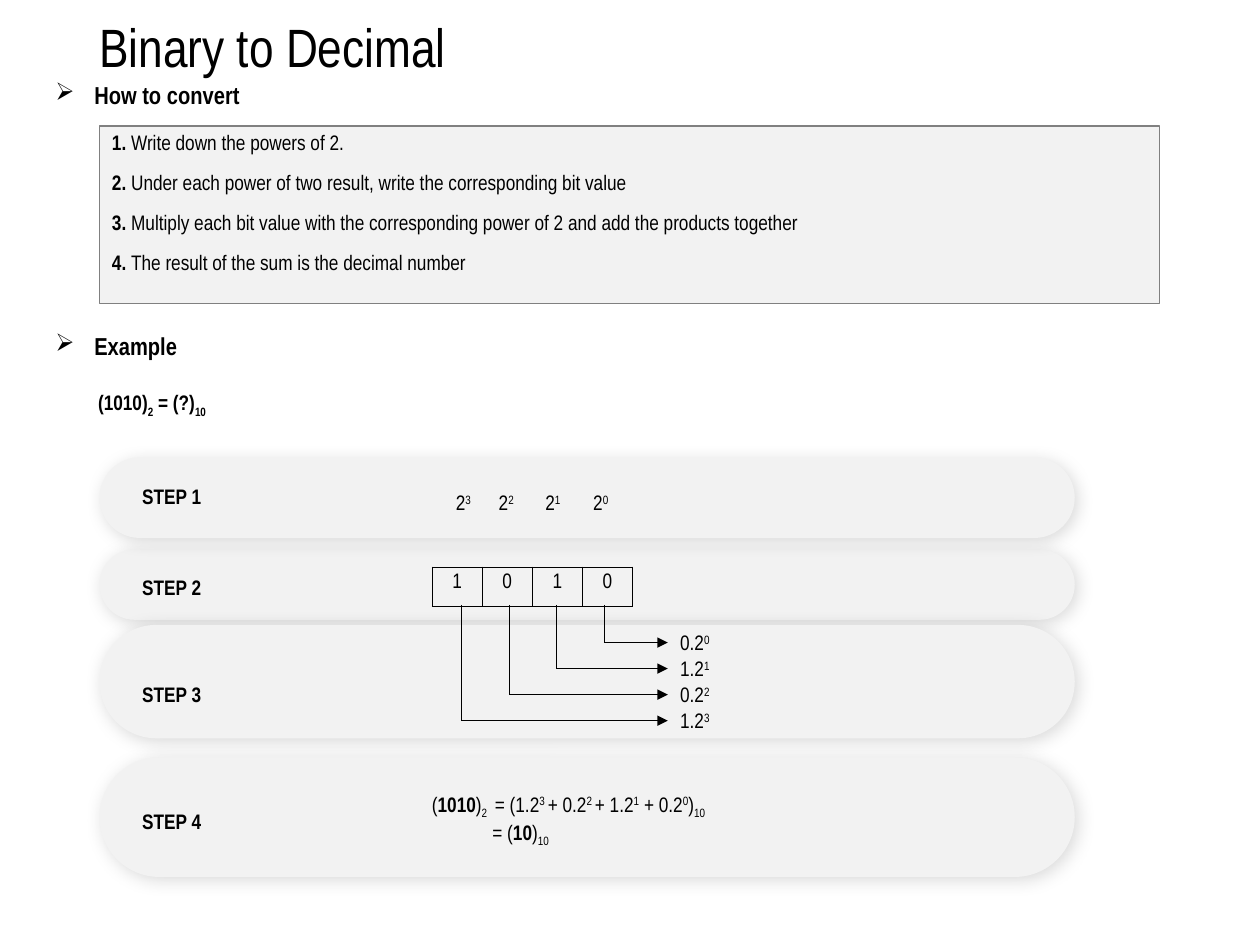
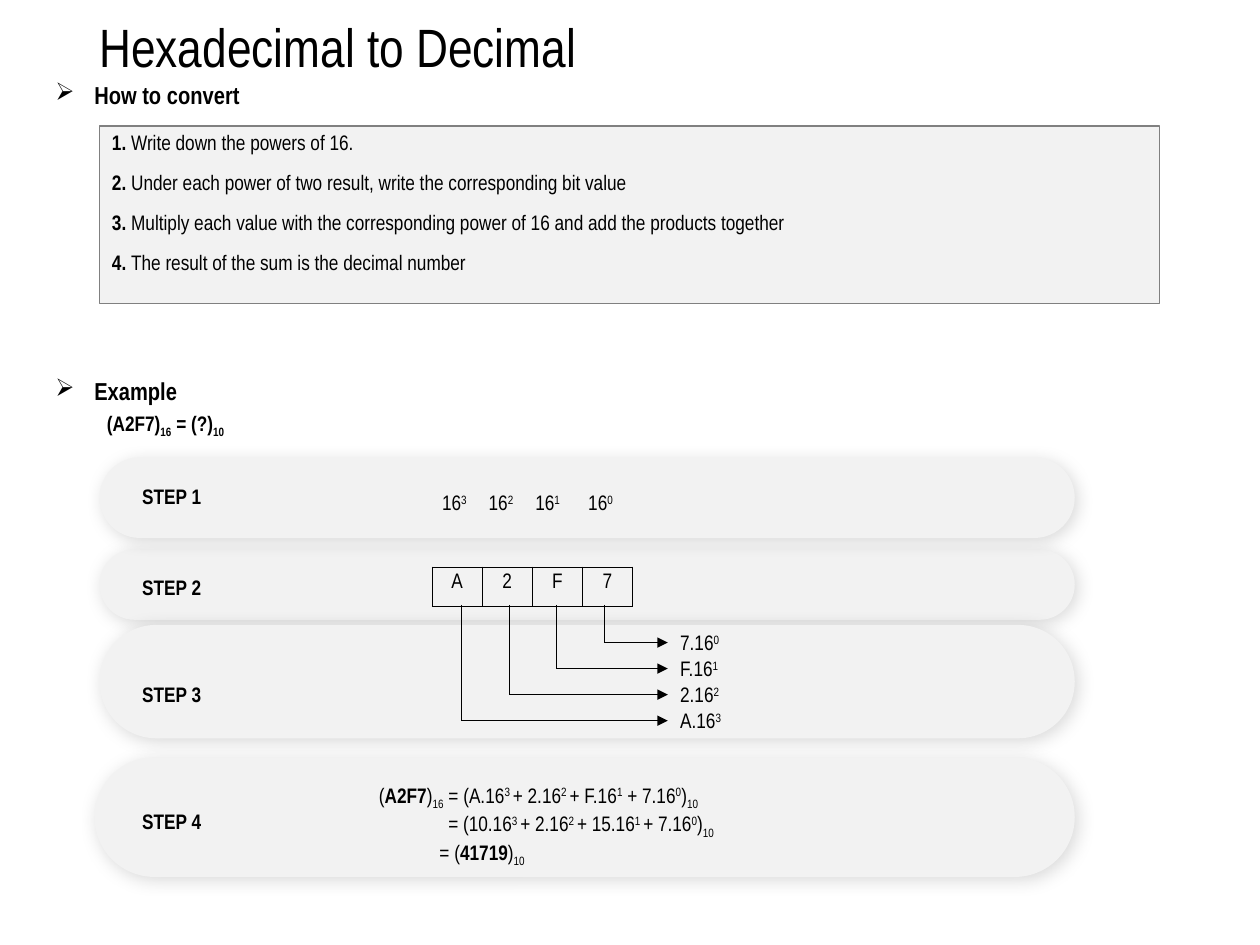
"""Two slides that show how to convert a number of another base to decimal."""
from dataclasses import dataclass

import pptx
import pptx.dml.color
import pptx.enum.shapes
import pptx.enum.text
import pptx.oxml
import pptx.oxml.ns
import pptx.util
from lxml import etree

Inches = pptx.util.Inches
Pt = pptx.util.Pt
RGB = pptx.dml.color.RGBColor.from_string
qn = pptx.oxml.ns.qn
SHAPE = pptx.enum.shapes.MSO_SHAPE
ALIGN = pptx.enum.text.PP_ALIGN
ANCHOR = pptx.enum.text.MSO_ANCHOR


@dataclass(frozen=True)
class Theme:
    """Colours, font and sizes shared by the slides."""
    font: str = "Arial Narrow"
    ink: str = "000000"
    panel: str = "F2F2F2"
    border: str = "808080"
    title: float = 30.8
    heading: float = 14
    body: float = 12
    hairline: float = 0.5


THEME = Theme()
BASELINES = {"^": "30000", "_": "-25000"}
STEP_LABEL_X = 1.03
# Top and height of each step band, and the drop from its top to its label
STEPS = {1: (3.63, 0.64, 0.16), 2: (4.36, 0.56, 0.15),
         3: (4.96, 0.90, 0.40), 4: (6.01, 0.95, 0.36)}


def sub(parent, tag, **attrs):
    """Append a DrawingML element and return it."""
    return etree.SubElement(parent, qn(tag), attrs)


def write(p, markup, size=THEME.body, bold=False):
    """Add runs split at "|"; a leading * is bold, ^ superscript, _ subscript."""
    for piece in markup.split("|"):
        mark = piece[0] if piece[0] in "*^_" else ""
        r = p.add_run()
        r.text = piece[len(mark):]
        r.font.name = THEME.font
        r.font.size = Pt(size)
        r.font.bold = bold or mark == "*"
        r.font.color.rgb = RGB(THEME.ink)
        if mark in BASELINES:
            r.font._element.set("baseline", BASELINES[mark])


def set_tabs(p, stops):
    """Give a paragraph left tab stops, in inches from the text edge."""
    tabs = sub(p._p.get_or_add_pPr(), "a:tabLst")
    for stop in stops:
        sub(tabs, "a:tab", pos=str(Inches(stop)), algn="l")


def set_indent(p, left, first=0):
    """Indent a paragraph, in inches."""
    pPr = p._p.get_or_add_pPr()
    pPr.set("marL", str(Inches(left)))
    pPr.set("indent", str(Inches(first)))


def add_text(s, box, markup, size=THEME.body, bold=False, spacing=None,
             anchor=ANCHOR.TOP, wrap=True):
    """Place a text box with one paragraph and return the paragraph."""
    tf = s.shapes.add_textbox(*map(Inches, box)).text_frame
    tf.word_wrap = wrap
    tf.vertical_anchor = anchor
    p = tf.paragraphs[0]
    if spacing:
        p.line_spacing = spacing
    write(p, markup, size, bold)
    return p


def add_heading(s, x, y, text):
    """Place a section heading with an arrow bullet."""
    p = add_text(s, (x, y, 8.62, 0.47), text, THEME.heading, True, 0.9, ANCHOR.MIDDLE)
    set_indent(p, 0.31, -0.31)
    sub(p._p.get_or_add_pPr(), "a:buChar", char="\u27a2")


def add_panel(s, box, kind):
    """Place a pale filled shape without line or shadow."""
    sp = s.shapes.add_shape(kind, *map(Inches, box))
    sp.shadow.inherit = False
    sp.fill.solid()
    sp.fill.fore_color.rgb = RGB(THEME.panel)
    sp.line.fill.background()
    return sp


def add_instructions(s, box, lines):
    """Place the framed, numbered list of instructions."""
    sp = add_panel(s, box, SHAPE.RECTANGLE)
    sp.line.color.rgb = RGB(THEME.border)
    sp.line.width = Pt(0.75)
    tf = sp.text_frame
    tf.word_wrap = True
    tf.vertical_anchor = ANCHOR.TOP
    for i, line in enumerate(lines):
        p = tf.add_paragraph() if i else tf.paragraphs[0]
        p.alignment = ALIGN.LEFT
        p.line_spacing = 0.9
        p.space_before = Pt(10)
        set_indent(p, 0)
        pPr = p._p.get_or_add_pPr()
        sub(pPr, "a:buFont", typeface=THEME.font)
        sub(pPr, "a:buAutoNum", type="arabicPeriod")
        write(p, "* |" + line)


def add_step_band(s, box):
    """Place a rounded band with a soft shadow."""
    sp = add_panel(s, box, SHAPE.ROUNDED_RECTANGLE)
    sp.adjustments[0] = 0.5
    effects = sp._element.spPr.find(qn("a:effectLst"))
    shadow = sub(effects, "a:outerShdw", blurRad=str(Pt(10)), dist=str(Pt(2)),
                 dir="2700000", algn="tl", rotWithShape="0")
    sub(sub(shadow, "a:srgbClr", val="000000"), "a:alpha", val="15000")


def add_steps(s, last_x):
    """Place the four step bands, then their labels."""
    for step in (4, 2, 3, 1):
        top, height, _ = STEPS[step]
        x = last_x if step == 4 else 0.79
        add_step_band(s, (x, top, 8.53 - x, height))
    for step, (top, _, drop) in STEPS.items():
        add_text(s, (STEP_LABEL_X, top + drop, 0.68, 0.3), f"STEP {step}",
                 bold=True, wrap=False)


def add_powers(s, x, y, base, stops):
    """Place the powers of the base in one row, each at a tab stop."""
    row = "|\t|".join(f"{base}|^{power}" for power in (3, 2, 1, 0))
    if len(stops) == 4:
        row = "\t|" + row
    set_tabs(add_text(s, (x, y, 2.08, 0.3), row), stops)


def add_digit_table(s, x, y, digits):
    """Place the digits in a one-row table with thin borders."""
    frame = s.shapes.add_table(1, len(digits), *map(Inches, (x, y, 1.59, 0.31)))
    for digit, cell in zip(digits, frame.table.rows[0].cells):
        tcPr = cell._tc.get_or_add_tcPr()
        for side in ("a:lnL", "a:lnR", "a:lnT", "a:lnB"):
            ln = sub(tcPr, side, w=str(Pt(THEME.hairline)))
            sub(sub(ln, "a:solidFill"), "a:srgbClr", val=THEME.ink)
        cell.fill.solid()
        cell.fill.fore_color.rgb = RGB(THEME.panel)
        p = cell.text_frame.paragraphs[0]
        p.alignment = ALIGN.CENTER
        write(p, digit)


def add_line(s, start, end, arrow=False):
    """Place a thin straight line, with an arrowhead at its end if asked."""
    line = s.shapes.add_connector(pptx.enum.shapes.MSO_CONNECTOR.STRAIGHT,
                                  *map(Inches, start + end))
    line.line.color.rgb = RGB(THEME.ink)
    line.line.width = Pt(THEME.hairline)
    if arrow:
        sub(line.line._get_or_add_ln(), "a:tailEnd", type="triangle")
    sub(line._element.spPr, "a:effectLst")


def add_products(s, box, base, digits):
    """Lead each digit down and right to its product, last digit first."""
    left, top, width, height = box
    first_drop, span = 0.3, 1.14
    for power, digit in enumerate(reversed(digits)):
        x = left + span * (1 - power / 3)
        y = top + first_drop + (height - first_drop) * power / 3
        add_line(s, (x, top), (x, y))
        add_line(s, (x, y), (left + width, y), arrow=True)
        add_text(s, (left + width, y - 0.15, 0.8, 0.3), f"{digit}.{base}|^{power}")


def add_equation(s, box, lines, stops):
    """Place the final sum; each line is its indent and its markup."""
    tf = s.shapes.add_textbox(*map(Inches, box)).text_frame
    tf.word_wrap = True
    for i, (indent, markup) in enumerate(lines):
        p = tf.add_paragraph() if i else tf.paragraphs[0]
        set_indent(p, indent)
        if "\t" in markup:
            set_tabs(p, stops)
        write(p, markup)


def add_conversion_slide(prs, title, base, digits, value_name, example_y, question_at,
                         last_x, power_stops, equation_box, equation, equation_stops=()):
    """Build one slide that explains a conversion to decimal."""
    s = prs.slides.add_slide(prs.slide_layouts[6])
    add_steps(s, last_x)
    add_instructions(s, (0.79, 1, 8.41, 1.41), (
        f"Write down the powers of {base}|.",
        "Under each power of two result, write the corresponding bit value",
        f"Multiply each {value_name} with the corresponding power of {base}"
        " and add the products together",
        "The result of the sum is the decimal number"))
    add_text(s, (0.69, 0.19, 8.62, 0.47), title, THEME.title,
             spacing=0.7, anchor=ANCHOR.MIDDLE)
    add_heading(s, 0.34, 0.53, "How to convert")
    add_heading(s, 0.34, example_y, "Example")
    add_text(s, question_at + (8.62, 0.36), f"({digits})|_{base}| = (?)|_10",
             bold=True, spacing=0.9, anchor=ANCHOR.MIDDLE)
    add_digit_table(s, 3.43, 4.5, digits)
    add_products(s, (3.66, 4.8, 1.64, 0.92), base, digits)
    add_equation(s, equation_box, equation, equation_stops)
    add_powers(s, 3.41, 3.84, base, power_stops)


prs = pptx.Presentation()
prs.slide_width, prs.slide_height = Inches(10), Inches(7.5)

add_conversion_slide(
    prs, "Binary to Decimal", 2, "1010", "bit value",
    example_y=2.52, question_at=(0.68, 3.02), last_x=0.79,
    power_stops=(0.11, 0.45, 0.82, 1.2), equation_box=(3.33, 6.23, 3.43, 0.64),
    equation=(
        (0, "(|*1010|)|_2|\t= (1.2|^3 |+ 0.2|^2 |+ 1.2|^1| + 0.2|^0|)|_10"),
        (0.48, "= (|*10|)|_10")),
    equation_stops=(0.55,))

add_conversion_slide(
    prs, "Hexadecimal to Decimal", 16, "A2F7", "value",
    example_y=2.88, question_at=(0.75, 3.18), last_x=0.75,
    power_stops=(0.37, 0.74, 1.16), equation_box=(2.91, 6.16, 3.43, 0.84),
    equation=(
        (0, "(|*A2F7|)|_16| = (A.16|^3 |+ 2.16|^2 |+ F.16|^1| + 7.16|^0|)|_10"),
        (0.55, "= (10.16|^3 |+ 2.16|^2 |+ 15.16|^1 |+ 7.16|^0|)|_10"),
        (0.48, "= (|*41719|)|_10")))

prs.save("out.pptx")
